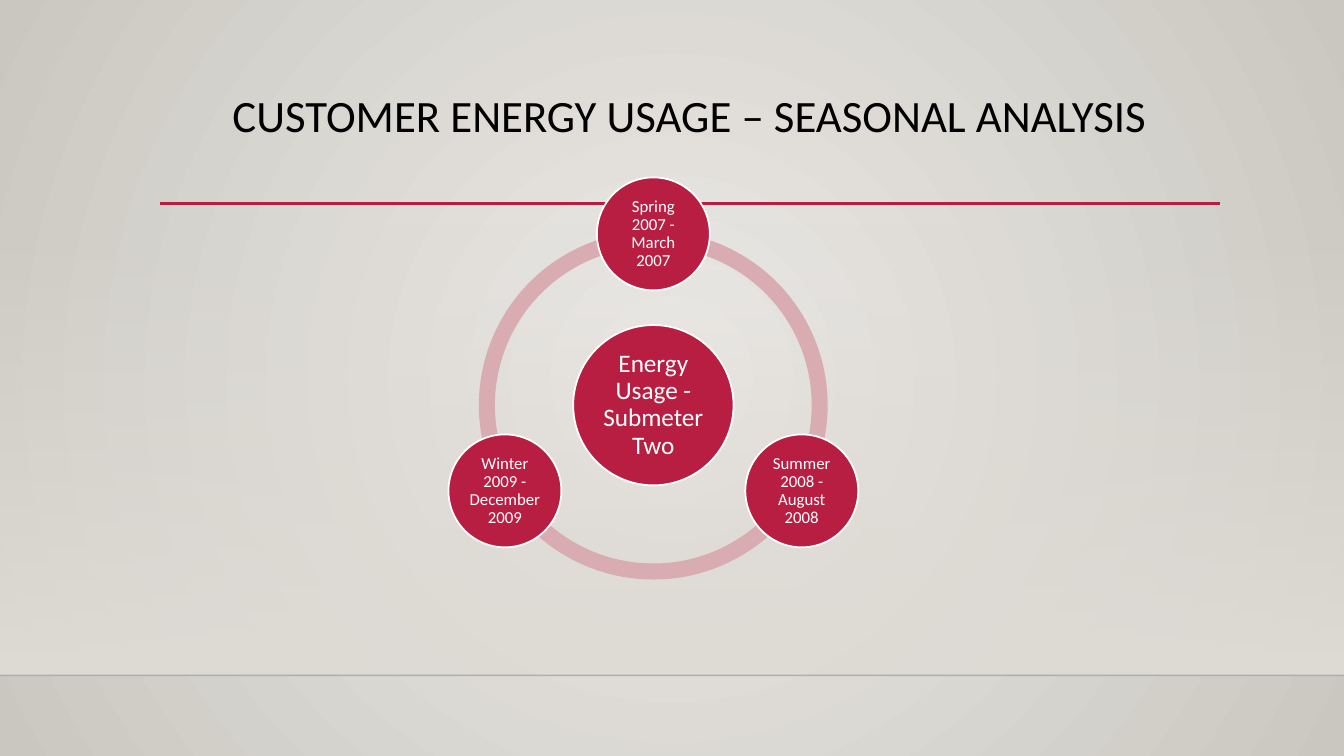
import math
from pptx import Presentation
from pptx.dml.color import RGBColor
from pptx.enum import shapes, text
from pptx.oxml import ns, xmlchemy
from pptx.util import Inches, Pt

CRIMSON = RGBColor(0xB7, 0x1E, 0x42)
PINK = RGBColor(0xD8, 0xAC, 0xB0)
WHITE = RGBColor(0xFF, 0xFF, 0xFF)
BLACK = RGBColor(0, 0, 0)
CENTRE_GREY = RGBColor(0xEC, 0xEA, 0xE7)
EDGE_GREY = RGBColor(0xCA, 0xC7, 0xC1)
WALL_GREY = RGBColor(0xDF, 0xDB, 0xD5)
WIDTH, HEIGHT = 13.33, 7.5
FLOOR = 6.7
CX, CY = 6.48, 4.02
ORBIT, RING = 1.7, 3.46
SEASONS = [
    (270, "Spring 2007 - March 2007"),
    (30, "Summer 2008 - August 2008"),
    (150, "Winter 2009 - December 2009"),
]


def add_child(parent, tag, **attrs):
    child = xmlchemy.OxmlElement(tag)
    for name, value in attrs.items():
        child.set(name, str(value))
    parent.append(child)
    return child


def set_alpha(element, percent):
    colour = next(element.iter(ns.qn("a:srgbClr")))
    add_child(colour, "a:alpha", val=percent * 1000)


class Deck:
    font = "Calibri"

    def __init__(self):
        self.prs = Presentation()
        self.prs.slide_width = Inches(WIDTH)
        self.prs.slide_height = Inches(HEIGHT)
        self.s = self.prs.slides.add_slide(self.prs.slide_layouts[6])

    def gradient(self, fill, first, last):
        fill.gradient()
        for stop, colour, position in zip(fill.gradient_stops, (first, last), (0, 1)):
            stop.color.rgb = colour
            stop.position = position

    def background(self, inner, outer):
        self.gradient(self.s.background.fill, inner, outer)
        grad = next(self.s.element.iter(ns.qn("a:gradFill")))
        grad.remove(grad.find(ns.qn("a:lin")))
        circle = add_child(grad, "a:path", path="circle")
        add_child(circle, "a:fillToRect", l=50000, t=50000, r=50000, b=50000)

    def shape(self, kind, x, y, w, h):
        sp = self.s.shapes.add_shape(kind, Inches(x), Inches(y), Inches(w), Inches(h))
        sp.shadow.inherit = False
        sp.line.fill.background()
        return sp

    def wall(self, y, h):
        sp = self.shape(shapes.MSO_SHAPE.RECTANGLE, 0, y, WIDTH, h)
        self.gradient(sp.fill, WALL_GREY, WALL_GREY)
        sp.fill.gradient_angle = 270
        set_alpha(sp._element, 0)

    def line(self, x1, x2, y, colour, width, opacity=100):
        line = self.s.shapes.add_connector(
            shapes.MSO_CONNECTOR.STRAIGHT, Inches(x1), Inches(y), Inches(x2), Inches(y))
        line.line.color.rgb = colour
        line.line.width = Pt(width)
        if opacity < 100:
            set_alpha(line._element, opacity)
        add_child(line._element.spPr, "a:effectLst")

    def put_text(self, tf, content, size, colour):
        tf.word_wrap = True
        tf.text = content
        p = tf.paragraphs[0]
        p.alignment = text.PP_ALIGN.CENTER
        p.line_spacing = 0.9
        r = p.runs[0]
        r.font.name = self.font
        r.font.size = Pt(size)
        r.font.color.rgb = colour

    def title(self, content, x, y, w, h):
        sp = self.s.shapes.add_textbox(Inches(x), Inches(y), Inches(w), Inches(h))
        self.put_text(sp.text_frame, content, 32, BLACK)

    def arc(self, start, end):
        sp = self.shape(shapes.MSO_SHAPE.BLOCK_ARC, CX - RING / 2, CY - RING / 2, RING, RING)
        for i, value in enumerate((start * 0.6, end * 0.6, 0.046)):
            sp.adjustments[i] = value
        sp.fill.solid()
        sp.fill.fore_color.rgb = PINK

    def circle(self, cx, cy, d, content, size, inset):
        sp = self.shape(shapes.MSO_SHAPE.OVAL, cx - d / 2, cy - d / 2, d, d)
        sp.fill.solid()
        sp.fill.fore_color.rgb = CRIMSON
        sp.line.color.rgb = WHITE
        sp.line.width = Pt(1.25)
        tf = sp.text_frame
        tf.margin_left = tf.margin_right = tf.margin_top = tf.margin_bottom = Inches(inset)
        tf.vertical_anchor = text.MSO_ANCHOR.MIDDLE
        self.put_text(tf, content, size, WHITE)


def main():
    deck = Deck()
    deck.background(CENTRE_GREY, EDGE_GREY)
    deck.wall(2.21, FLOOR - 2.21)
    deck.line(0, WIDTH, FLOOR, BLACK, 1, 20)
    deck.line(1.59, 12.1, 2.02, CRIMSON, 2.5)
    deck.title("CUSTOMER ENERGY USAGE – SEASONAL ANALYSIS", 1.59, 0.88, 10.5, 1.15)
    for angle, _ in SEASONS:
        deck.arc(angle, (angle + 120) % 360)
    deck.circle(CX, CY, 1.59, "Energy Usage - Submeter Two", 18, 0.03)
    for angle, label in SEASONS:
        a = math.radians(angle)
        deck.circle(CX + ORBIT * math.cos(a), CY + ORBIT * math.sin(a), 1.12, label, 12, 0.02)
    deck.prs.save("out.pptx")


if __name__ == "__main__":
    main()
